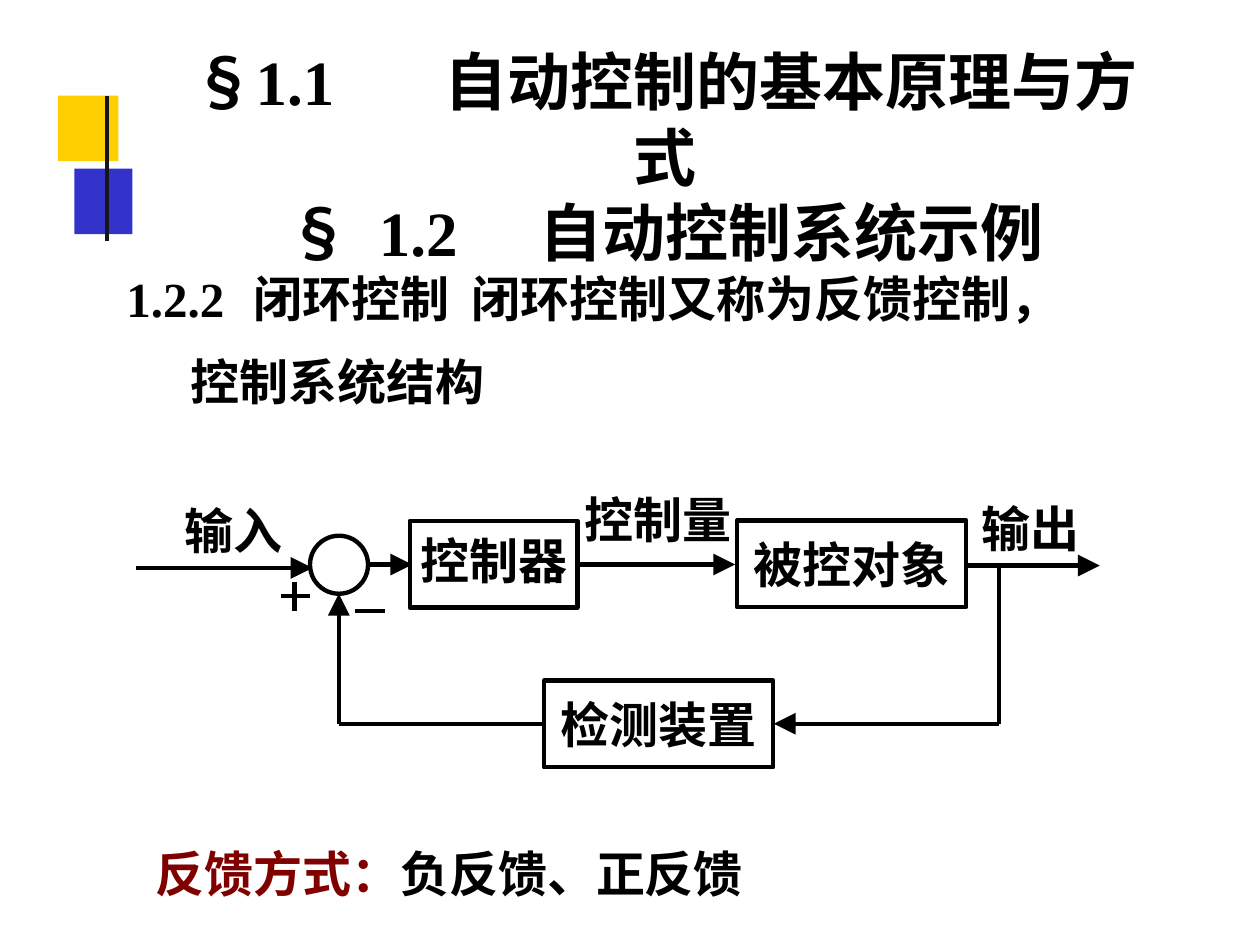
from dataclasses import dataclass

from lxml import etree
from pptx import Presentation
from pptx.dml.color import RGBColor
from pptx.enum.shapes import MSO_CONNECTOR, MSO_SHAPE
from pptx.enum.text import MSO_ANCHOR, MSO_AUTO_SIZE, PP_ALIGN
from pptx.oxml.ns import qn
from pptx.util import Cm, Pt

LEFT, CENTER = PP_ALIGN.LEFT, PP_ALIGN.CENTER
TOP, MIDDLE = MSO_ANCHOR.TOP, MSO_ANCHOR.MIDDLE
NO_AUTOFIT = MSO_AUTO_SIZE.NONE
RECTANGLE, OVAL = MSO_SHAPE.RECTANGLE, MSO_SHAPE.OVAL
STRAIGHT = MSO_CONNECTOR.STRAIGHT


@dataclass(frozen=True)
class Theme:
    """Colours, fonts and sizes of the slide."""
    ink: RGBColor = RGBColor(0, 0, 0)
    accent: RGBColor = RGBColor(0x80, 0, 0)
    yellow: RGBColor = RGBColor(0xFF, 0xCF, 0x01)
    blue: RGBColor = RGBColor(0x33, 0x33, 0xCC)
    rule: RGBColor = RGBColor(0x16, 0x16, 0x16)
    chinese: str = "Noto Sans CJK SC"
    latin: str = "Times New Roman"
    title_size: Pt = Pt(36)
    text_size: Pt = Pt(28)
    stroke: Pt = Pt(2.5)


theme = Theme()


def write(shape, spans, size=theme.text_size, align=LEFT, anchor=TOP, tab=None):
    """Fill a shape with one bold paragraph of (text, font, colour) spans."""
    frame = shape.text_frame
    frame.word_wrap = True
    frame.auto_size = NO_AUTOFIT
    frame.vertical_anchor = anchor
    frame.margin_left = frame.margin_right = frame.margin_top = frame.margin_bottom = 0
    para = frame.paragraphs[0]
    para.alignment = align
    para.space_before = Pt(0)
    para.font.size = size
    para.font.bold = True
    para.font.color.rgb = theme.ink
    para.font.name = theme.chinese
    defaults = para._p.pPr.find(qn("a:defRPr"))
    etree.SubElement(defaults, qn("a:ea"), typeface=theme.chinese)
    if tab is not None:
        defaults.addprevious(etree.Element(qn("a:buNone")))
        tabs = etree.Element(qn("a:tabLst"))
        etree.SubElement(tabs, qn("a:tab"), pos=str(tab), algn="l")
        defaults.addprevious(tabs)
    for text, font, colour in spans:
        if text == "\n":
            para.add_line_break()
            continue
        span = para.add_run()
        span.text = text
        if font:
            span.font.name = font
        if colour:
            span.font.color.rgb = colour
    return para


def connect(start, end, colour=theme.ink, arrow=False):
    """Draw a straight line between two points, with an arrowhead if asked."""
    line = page.shapes.add_connector(STRAIGHT, *(Cm(value) for value in start + end))
    line.line.color.rgb = colour
    line.line.width = theme.stroke
    if arrow:
        etree.SubElement(line.line._get_or_add_ln(), qn("a:tailEnd"),
                         type="triangle", w="lg", len="lg")
    etree.SubElement(line._element.spPr, qn("a:effectLst"))


deck = Presentation()
deck.slide_width, deck.slide_height = Cm(25.4), Cm(19.05)
page = deck.slides.add_slide(deck.slide_layouts[1])

# Corner ornament
for left, top, width, colour in [(1.17, 1.93, 1.22, theme.yellow),
                                 (1.5, 3.4, 1.17, theme.blue)]:
    square = page.shapes.add_shape(RECTANGLE, Cm(left), Cm(top), Cm(width), Cm(1.32))
    square.shadow.inherit = False
    square.fill.solid()
    square.fill.fore_color.rgb = colour
    square.line.fill.background()
connect((2.16, 1.93), (2.16, 4.85), theme.rule)

# Title and opening text
title = page.shapes.title
title.left, title.top, title.width, title.height = Cm(3.53), Cm(0.86), Cm(19.76), Cm(3.07)
write(title, [("§", None, None),
              ("1.1\t自动控制的基本原理与方式", theme.latin, None),
              ("\n", None, None),
              ("§  ", None, None),
              ("1.2\t自动控制系统示例", theme.latin, None)],
      theme.title_size, CENTER, tab=Cm(5.08))

body = page.placeholders[1]
body.left, body.top, body.width, body.height = Cm(2.5), Cm(4.93), Cm(19.18), Cm(3.35)
definition = write(body, [("1.2.2\t", theme.latin, None),
                          ("闭环控制  闭环控制又称为反馈控制，控制系统结构", None, None)],
                   tab=Cm(3.85))
definition.line_spacing = 1.41
definition._p.pPr.set("marL", str(Cm(1.35)))
definition._p.pPr.set("indent", str(Cm(-1.3)))

# Blocks of the control loop
blocks = [
    (RECTANGLE, 8.26, 10.5, 3.38, 1.75, None),
    (RECTANGLE, 14.86, 10.49, 4.62, 1.75, "被控对象"),
    (RECTANGLE, 10.97, 13.72, 4.62, 1.75, "检测装置"),
    (OVAL, 6.25, 10.8, 1.17, 1.17, None),
]
for kind, left, top, width, height, name in blocks:
    block = page.shapes.add_shape(kind, Cm(left), Cm(top), Cm(width), Cm(height))
    block.shadow.inherit = False
    block.fill.background()
    block.line.color.rgb = theme.ink
    block.line.width = theme.stroke
    if name:
        write(block, [(name, None, None)], align=CENTER, anchor=MIDDLE)

# Signals, with arrowheads at their ends
for start, end in [((2.74, 11.45), (6.3, 11.45)),
                   ((7.42, 11.38), (8.31, 11.38)),
                   ((11.64, 11.38), (14.82, 11.38)),
                   ((19.48, 11.4), (22.17, 11.4)),
                   ((20.14, 14.59), (15.6, 14.59)),
                   ((6.83, 14.59), (6.83, 11.97))]:
    connect(start, end, arrow=True)

# Feedback corners, then the plus and minus signs
for start, end in [((20.14, 11.43), (20.14, 14.59)),
                   ((10.97, 14.59), (6.83, 14.59)),
                   ((5.66, 12.01), (6.25, 12.01)),
                   ((5.94, 11.73), (5.94, 12.32)),
                   ((7.16, 12.32), (7.77, 12.32))]:
    connect(start, end)

# Signal names, controller name and closing line
labels = [
    (3.72, 10.09, 2.06, [("输入", None, None)]),
    (8.48, 10.69, 3.05, [("控制器", None, None)]),
    (11.79, 9.86, 3.05, [("控制量", None, None)]),
    (19.78, 10.04, 2.06, [("输出", None, None)]),
    (3.14, 17, 12.22, [("反馈方式：", None, theme.accent), ("负反馈、正反馈", None, None)]),
]
for left, top, width, spans in labels:
    label = page.shapes.add_textbox(Cm(left), Cm(top), Cm(width), Cm(1.19))
    write(label, spans)

deck.save("out.pptx")
